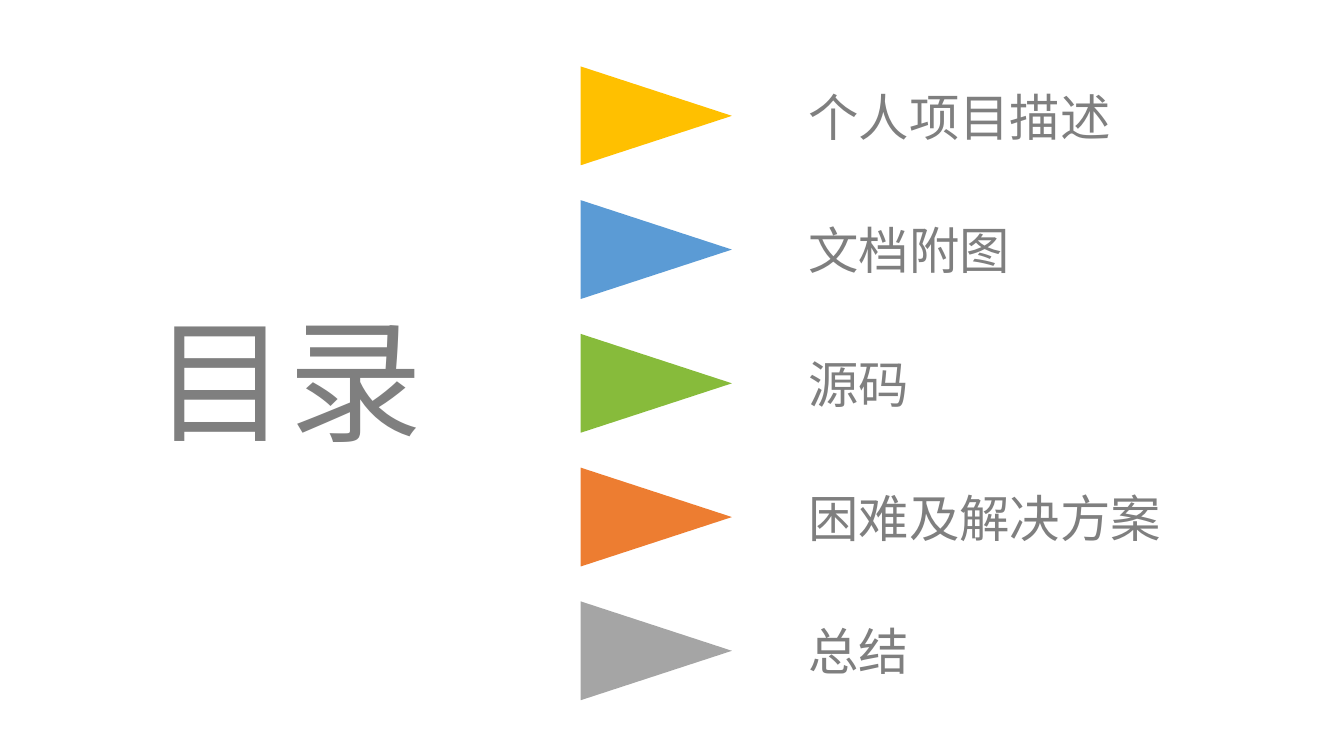
from pptx import Presentation
from pptx.dml.color import RGBColor
from pptx.enum.shapes import MSO_SHAPE
from pptx.enum.text import MSO_ANCHOR, MSO_AUTO_SIZE, PP_ALIGN
from pptx.oxml.ns import qn
from pptx.util import Cm, Pt
from lxml import etree

TRIANGLE = MSO_SHAPE.ISOSCELES_TRIANGLE
MIDDLE = MSO_ANCHOR.MIDDLE
GROW = MSO_AUTO_SIZE.SHAPE_TO_FIT_TEXT
LEFT, JUSTIFY = PP_ALIGN.LEFT, PP_ALIGN.JUSTIFY

# Content
HEADING = "目录"
SECTIONS = [
    ("个人项目描述", "FFC000"),
    ("文档附图", "5B9BD5"),
    ("源码", "87BB3B"),
    ("困难及解决方案", "ED7D31"),
    ("总结", "A5A5A5"),
]
FONT = "Noto Sans CJK SC"
TEXT_COLOR = "7F7F7F"

# Layout in centimetres
MARKER_BASE, MARKER_LENGTH = 2.49, 3.81
MARKER_CENTER = 16.54
FIRST_ROW, ROW_PITCH = 2.92, 3.37
LABEL_LEFT, LABEL_WIDTH, LABEL_HEIGHT = 20.12, 11.23, 1.8
HEADING_LEFT, HEADING_CENTER = 3.63, 9.53
HEADING_WIDTH, HEADING_HEIGHT = 8.08, 4.37


def color(hex_value):
    return RGBColor.from_string(hex_value)


def add_label(slide, text, left, center, width, height, size, align=LEFT):
    label = slide.shapes.add_textbox(
        Cm(left), Cm(center - height / 2), Cm(width), Cm(height))
    frame = label.text_frame
    frame.text = text
    frame.word_wrap = True
    frame.auto_size = GROW
    frame.vertical_anchor = MIDDLE
    paragraph = frame.paragraphs[0]
    paragraph.alignment = align
    font = paragraph.runs[0].font
    font.size = Pt(size)
    font.color.rgb = color(TEXT_COLOR)
    font.name = FONT
    # Chinese characters take the East Asian typeface
    properties = paragraph.runs[0]._r.get_or_add_rPr()
    etree.SubElement(properties, qn("a:ea")).set("typeface", FONT)


def add_marker(slide, center, fill):
    marker = slide.shapes.add_shape(
        TRIANGLE, Cm(MARKER_CENTER - MARKER_BASE / 2),
        Cm(center - MARKER_LENGTH / 2), Cm(MARKER_BASE), Cm(MARKER_LENGTH))
    marker.rotation = 90
    marker.shadow.inherit = False
    marker.fill.solid()
    marker.fill.fore_color.rgb = color(fill)
    marker.line.fill.background()


def main():
    deck = Presentation()
    deck.slide_width, deck.slide_height = Cm(33.87), Cm(19.05)
    slide = deck.slides.add_slide(deck.slide_layouts[6])

    # Heading
    add_label(slide, HEADING, HEADING_LEFT, HEADING_CENTER,
              HEADING_WIDTH, HEADING_HEIGHT, 96, JUSTIFY)

    # Agenda rows
    for row, (section, fill) in enumerate(SECTIONS):
        center = FIRST_ROW + row * ROW_PITCH
        add_marker(slide, center, fill)
        add_label(slide, section, LABEL_LEFT, center,
                  LABEL_WIDTH, LABEL_HEIGHT, 36)

    deck.save("out.pptx")


if __name__ == "__main__":
    main()
